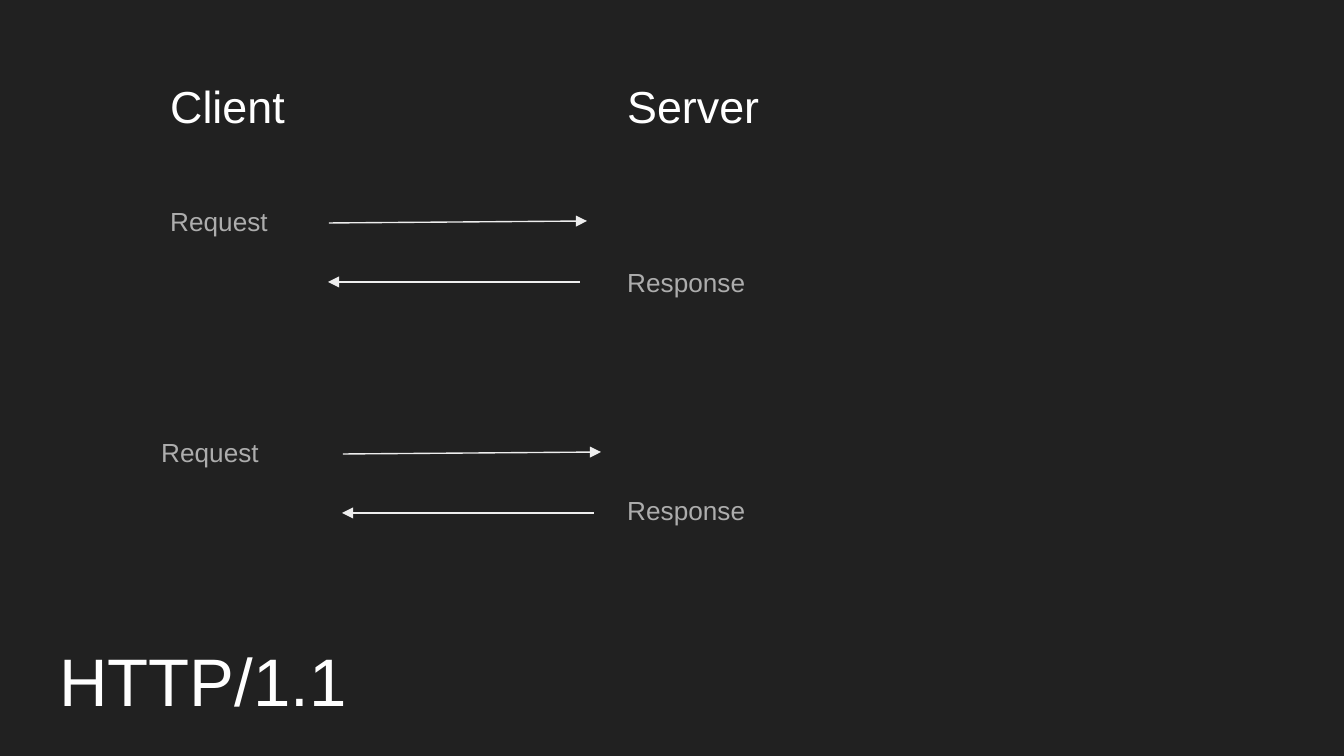
import pptx
import pptx.util
import pptx.dml.color
import pptx.enum.shapes
import pptx.enum.text
import pptx.oxml
import pptx.oxml.ns

EMU_PER_PX = 914400 / 134.4
COLORS = {"background": "212121", "title": "FFFFFF", "label": "ADADAD", "arrow": "EEEEEE"}
FONT = "Arial"


def px(length):
    return pptx.util.Emu(round(length * EMU_PER_PX))


def rgb(name):
    return pptx.dml.color.RGBColor.from_string(COLORS[name])


class SlideBuilder:
    def __init__(self, slide):
        self.slide = slide
        fill = slide.background.fill
        fill.solid()
        fill.fore_color.rgb = rgb("background")

    def text(self, words, left, top, width, height, size, color):
        shape = self.slide.shapes.add_textbox(px(left), px(top), px(width), px(height))
        frame = shape.text_frame
        frame.word_wrap = True
        frame.vertical_anchor = pptx.enum.text.MSO_ANCHOR.TOP
        frame.margin_left = frame.margin_right = pptx.util.Inches(0.1)
        frame.margin_top = frame.margin_bottom = pptx.util.Inches(0.1)
        paragraph = frame.paragraphs[0]
        paragraph.text = words
        paragraph.font.name = FONT
        paragraph.font.size = pptx.util.Pt(size)
        paragraph.font.color.rgb = rgb(color)
        return paragraph

    def label(self, words, left, top):
        self.text(words, left, top, 172, 59, 14, "label")

    def heading(self, words, left, width):
        self.text(words, left, 65, width, 103, 24, "title")

    def title(self, words):
        paragraph = self.text(words, 46, 614, 1222, 89, 36, "title")
        paragraph.line_spacing = 1.15
        paragraph.space_after = pptx.util.Pt(16)

    def arrow(self, start_x, start_y, end_x, end_y):
        connector = self.slide.shapes.add_connector(
            pptx.enum.shapes.MSO_CONNECTOR.STRAIGHT,
            px(start_x), px(start_y), px(end_x), px(end_y))
        connector.line.color.rgb = rgb("arrow")
        connector.line.width = pptx.util.Pt(0.75)
        tail = pptx.oxml.parse_xml(
            f'<a:tailEnd {pptx.oxml.ns.nsdecls("a")} type="triangle" w="med" len="med"/>')
        connector.line._get_or_add_ln().append(tail)
        properties = connector._element.spPr
        properties.append(pptx.oxml.parse_xml(
            f'<a:effectLst {pptx.oxml.ns.nsdecls("a")}/>'))

    def exchange(self, request_left, request_top, response_top, arrow_left, arrow_top):
        """Draw a request going right and its response coming back."""
        self.label("Request", request_left, request_top)
        self.label("Response", 614, response_top)
        self.arrow(arrow_left + 1, arrow_top + 2, arrow_left + 259, arrow_top)
        self.arrow(arrow_left + 252, arrow_top + 61, arrow_left, arrow_top + 61)


def main():
    presentation = pptx.Presentation()
    presentation.slide_width = px(1344)
    presentation.slide_height = px(756)
    builder = SlideBuilder(presentation.slides.add_slide(presentation.slide_layouts[6]))
    builder.exchange(157, 192, 253, 328, 221)
    builder.exchange(148, 423, 481, 342, 452)
    builder.title("HTTP/1.1")
    builder.heading("Client", 157, 153)
    builder.heading("Server", 614, 238)
    presentation.save("out.pptx")


if __name__ == "__main__":
    main()
